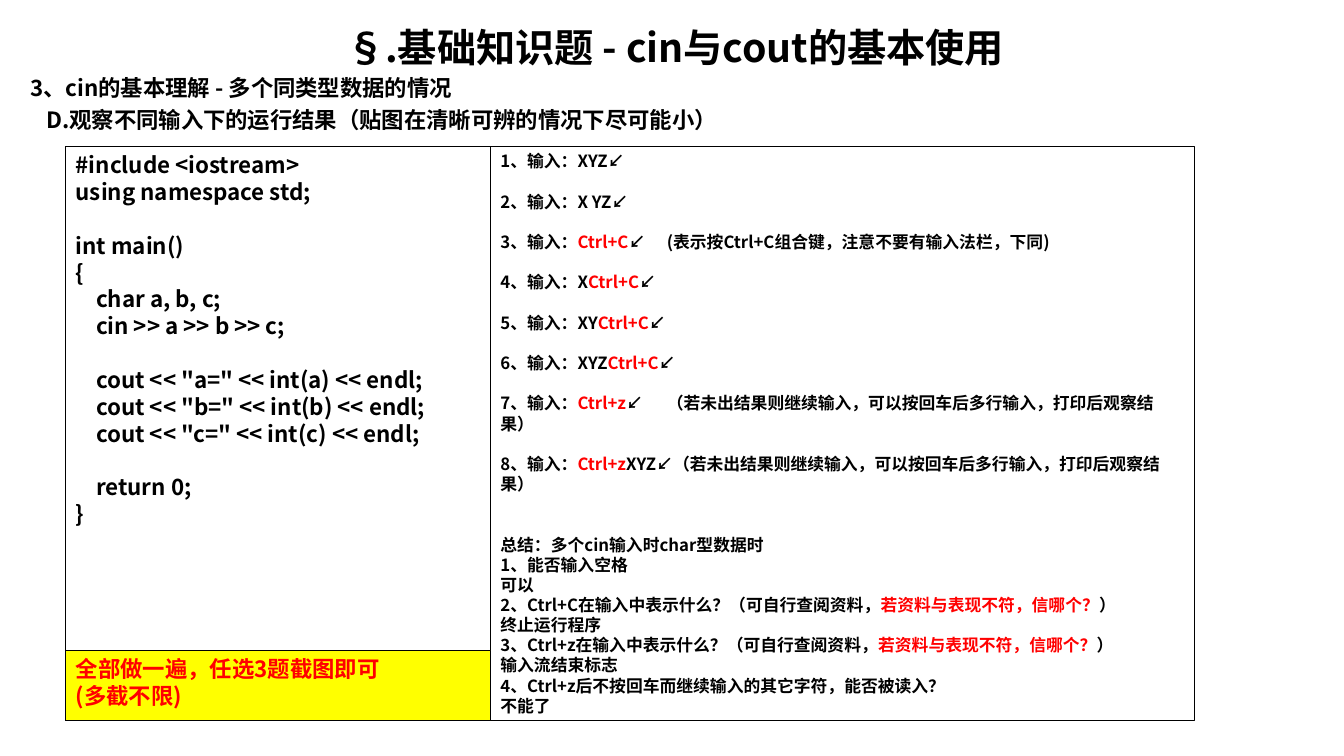
from dataclasses import dataclass

from lxml import etree
from pptx import Presentation
from pptx import util as u
from pptx.dml.color import RGBColor
from pptx.enum import shapes, text
from pptx.oxml import ns


@dataclass(frozen=True)
class Theme:
    font: str = "Noto Sans CJK SC"
    ink: str = "000000"
    red: str = "FF0000"
    gold: str = "FFFF00"
    head: int = 28
    body: int = 16
    note: int = 12
    lead: float = 1.2  # line height as a multiple of the type size
    rule: float = 0.75


@dataclass(frozen=True)
class Line:
    """Words with |red| spans; gap counts the empty lines above."""
    words: str
    gap: float = 0
    dent: float = 0
    tab: float = 0


@dataclass(frozen=True)
class Panel:
    """Edges in hundredths of the slide's width and height."""
    left: float
    top: float
    right: float
    low: float
    lines: list[Line]
    size: int
    ink: str
    fill: str = ""


T = Theme()
WIDE, HIGH = u.Inches(13.33), u.Inches(7.5)
STOP = 1.65  # tab stop before the remarks, inches

TITLE = "§.基础知识题 - cin与cout的基本使用"
INTRO = [
    Line("3、cin的基本理解 - 多个同类型数据的情况"),
    Line("D.观察不同输入下的运行结果（贴图在清晰可辨的情况下尽可能小）", 1 / 6, 0.16),
]
CODE = [
    Line("#include <iostream>"),
    Line("using namespace std;"),
    Line("int main()", 1),
    Line("{"),
    Line("    char a, b, c;"),
    Line("    cin >> a >> b >> c;"),
    *[Line(f'    cout << "{v}=" << int({v}) << endl;', int(v == "a")) for v in "abc"],
    Line("    return 0;", 1),
    Line("}"),
]
HINT = "（若未出结果则继续输入，可以按回车后多行输入，打印后观察结果）"
INPUTS = [
    "XYZ↙",
    "X YZ↙",
    "|Ctrl+C|↙\t(表示按Ctrl+C组合键，注意不要有输入法栏，下同)",
    "X|Ctrl+C|↙",
    "XY|Ctrl+C|↙",
    "XYZ|Ctrl+C|↙",
    f"|Ctrl+z|↙\t{HINT}",
    f"|Ctrl+z|XYZ↙{HINT}",
]
ASK = "在输入中表示什么？（可自行查阅资料，|若资料与表现不符，信哪个？|）"
TASKS = [
    *[Line(f"{n}、输入：{s}", int(n > 1), tab=STOP if "\t" in s else 0)
      for n, s in enumerate(INPUTS, 1)],
    Line("总结：多个cin输入时char型数据时", 2),
    Line("1、能否输入空格"),
    Line("可以"),
    Line(f"2、Ctrl+C{ASK}"),
    Line("终止运行程序"),
    Line(f"3、Ctrl+z{ASK}"),
    Line("输入流结束标志"),
    Line("4、Ctrl+z后不按回车而继续输入的其它字符，能否被读入？"),
    Line("不能了"),
]
ORDER = [Line("全部做一遍，任选3题截图即可"), Line("(多截不限)")]

PANELS = [
    Panel(4.9, 19.35, 36.5, 95.3, CODE, T.body, T.ink),
    Panel(36.5, 19.35, 88.9, 95.3, TASKS, T.note, T.ink),
    Panel(4.9, 86, 36.5, 95.3, ORDER, T.body, T.red, T.gold),
]


def area(left: float, top: float, right: float, low: float) -> tuple[int, ...]:
    return (round(WIDE * left / 100), round(HIGH * top / 100),
            round(WIDE * (right - left) / 100), round(HIGH * (low - top) / 100))


def style(run, size: int, ink: str) -> None:
    font = run.font
    font.size, font.bold, font.name = u.Pt(size), True, T.font
    font.color.rgb = RGBColor.from_string(ink)
    for tag in ("a:ea", "a:cs", "a:sym"):
        etree.SubElement(run._r.get_or_add_rPr(), ns.qn(tag), typeface=T.font)


def write(frame, lines: list[Line], size: int, ink: str,
          align=text.PP_ALIGN.LEFT) -> None:
    frame.word_wrap = True
    frame.auto_size = text.MSO_AUTO_SIZE.NONE
    frame.vertical_anchor = text.MSO_ANCHOR.TOP
    high = size * T.lead
    for i, line in enumerate(lines):
        para = frame.add_paragraph() if i else frame.paragraphs[0]
        para.alignment = align
        para.line_spacing = u.Pt(high)
        para.space_before = u.Pt(line.gap * high)
        props = para._p.get_or_add_pPr()
        if line.dent:
            props.set("marL", str(u.Inches(line.dent)))
        if line.tab:
            tabs = etree.SubElement(props, ns.qn("a:tabLst"))
            etree.SubElement(tabs, ns.qn("a:tab"), pos=str(u.Inches(line.tab)), algn="l")
        for k, part in enumerate(line.words.split("|")):
            if part:
                run = para.add_run()
                run.text = part
                style(run, size, T.red if k % 2 else ink)


def draw(slide, panel: Panel) -> None:
    box = slide.shapes.add_shape(
        shapes.MSO_SHAPE.RECTANGLE,
        *area(panel.left, panel.top, panel.right, panel.low))
    box.shadow.inherit = False
    if panel.fill:
        box.fill.solid()
        box.fill.fore_color.rgb = RGBColor.from_string(panel.fill)
    else:
        box.fill.background()
    box.line.color.rgb = RGBColor.from_string(T.ink)
    box.line.width = u.Pt(T.rule)
    write(box.text_frame, panel.lines, panel.size, panel.ink)


def main() -> None:
    deck = Presentation()
    deck.slide_width, deck.slide_height = WIDE, HIGH
    slide = deck.slides.add_slide(deck.slide_layouts[5])

    # Title
    title = slide.shapes.title
    title.left, title.top, title.width, title.height = area(1.5, 2.4, 98.95, 10)
    write(title.text_frame, [Line(TITLE)], T.head, T.ink, text.PP_ALIGN.CENTER)

    # Question heading
    intro = slide.shapes.add_textbox(*area(1.5, 9.2, 98.95, 18.8))
    write(intro.text_frame, INTRO, T.body, T.ink)

    # Code, tasks and the yellow instruction
    for panel in PANELS:
        draw(slide, panel)

    deck.save("out.pptx")


if __name__ == "__main__":
    main()
